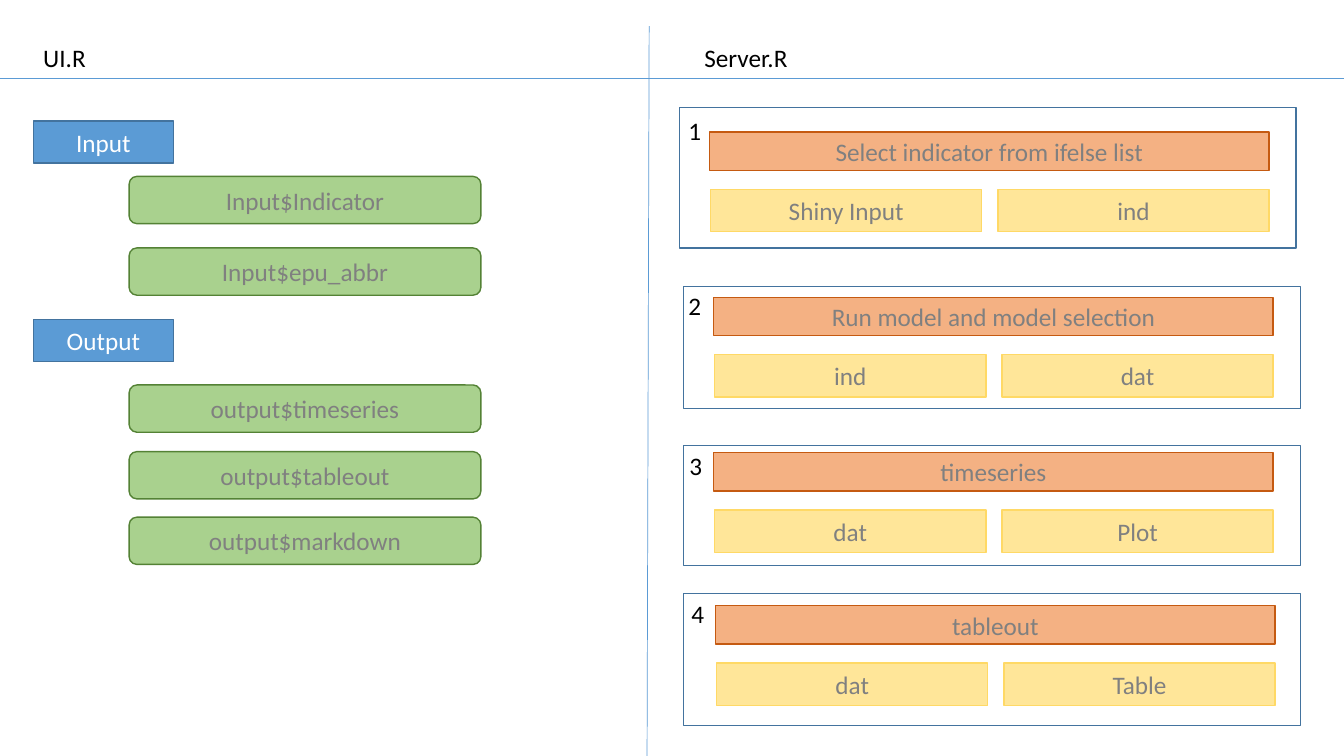
import pptx
import pptx.dml.color
import pptx.enum.shapes
import pptx.enum.text
import pptx.oxml.ns
import pptx.util
from lxml import etree

Pt = pptx.util.Pt
SHAPES = pptx.enum.shapes.MSO_SHAPE
BLUE = ("5B9BD5", "43739E", "FFFFFF")
GREEN = ("A9D18E", "548235", "808080")
ORANGE = ("F4B183", "C55A11", "808080")
YELLOW = ("FFE699", "FFD966", "808080")

SECTIONS = [("Input", 86.4), ("Output", 228.2)]
VARIABLES = [
    ("Input$Indicator", 126),
    ("Input$epu_abbr", 177.1),
    ("output$timeseries", 275),
    ("output$tableout", 322.6),
    ("output$markdown", 369.4),
]
STEPS = [
    ("Select indicator from ifelse list", "Shiny Input", "ind",
     (485.3, 77, 440.6, 100.1), (506.9, 94.3), (484.6, 78.5)),
    ("Run model and model selection", "ind", "dat",
     (488.2, 204.5, 440.6, 87.1), (509.8, 212.4), (484.6, 203.8)),
    ("timeseries", "dat", "Plot",
     (488.2, 318.2, 440.6, 85.7), (509.8, 323.3), (485.3, 318.2)),
    ("tableout", "dat", "Table",
     (488.2, 424.1, 440.6, 94.3), (511.2, 432.7), (486.7, 424.1)),
]


def rgb(value):
    """Turn a hex string into a colour."""
    return pptx.dml.color.RGBColor.from_string(value)


def add_span(para, text, color):
    """Add one formatted run to a paragraph."""
    span = para.add_run()
    span.text = text
    span.font.name = "Calibri"
    span.font.size = Pt(18)
    span.font.color.rgb = rgb(color)


def add_label(page, text, left, top, width):
    """Add a plain black label that does not wrap."""
    box = page.shapes.add_textbox(Pt(left), Pt(top), Pt(width), Pt(29))
    box.text_frame.word_wrap = False
    box.text_frame.auto_size = pptx.enum.text.MSO_AUTO_SIZE.SHAPE_TO_FIT_TEXT
    add_span(box.text_frame.paragraphs[0], text, "000000")


def add_outline(page, kind, bounds, color):
    """Add an unfilled shape with a thin outline."""
    box = page.shapes.add_shape(kind, *map(Pt, bounds))
    box.shadow.inherit = False
    box.fill.background()
    box.line.color.rgb = rgb(color)
    box.line.width = Pt(1)
    return box


def add_box(page, text, bounds, style, kind=SHAPES.RECTANGLE):
    """Add a filled shape with centred text."""
    fill, line, color = style
    box = add_outline(page, kind, bounds, line)
    box.fill.solid()
    box.fill.fore_color.rgb = rgb(fill)
    box.text_frame.word_wrap = True
    box.text_frame.vertical_anchor = pptx.enum.text.MSO_ANCHOR.MIDDLE
    para = box.text_frame.paragraphs[0]
    para.alignment = pptx.enum.text.PP_ALIGN.CENTER
    add_span(para, text, color)


def add_divider(page, *ends):
    """Add a thin blue line between two points."""
    line = page.shapes.add_connector(
        pptx.enum.shapes.MSO_CONNECTOR.STRAIGHT, *map(Pt, ends))
    line.line.color.rgb = rgb("5B9BD5")
    line.line.width = Pt(0.5)
    etree.SubElement(line._element.spPr, pptx.oxml.ns.qn("a:effectLst"))


def add_step(page, number, step):
    """Add a numbered frame with its task bar and two data boxes."""
    task, source, result, frame, (left, top), (label_left, label_top) = step
    add_box(page, task, (left, top, 399.6, 27.4), ORANGE)
    for column, text in enumerate((source, result)):
        bounds = (left + 0.7 + 205.2 * column, top + 41, 193.7, 30.2)
        add_box(page, text, bounds, YELLOW)
    add_outline(page, SHAPES.RECTANGLE, frame, "43739E")
    add_label(page, str(number), label_left, label_top, 23.8)


def main():
    """Build the slide and save it."""
    deck = pptx.Presentation()
    deck.slide_width, deck.slide_height = Pt(960), Pt(540)
    page = deck.slides.add_slide(deck.slide_layouts[6])
    add_divider(page, 463.7, 18.7, 462.2, 540)
    add_label(page, "UI.R", 23.8, 26.6, 45.4)
    add_label(page, "Server.R", 496.1, 26.6, 74.2)
    for text, top in SECTIONS:
        add_box(page, text, (23.8, top, 100.1, 30.2), BLUE)
    for text, top in VARIABLES:
        add_box(page, text, (92.2, top, 251.3, 33.8), GREEN,
                SHAPES.ROUNDED_RECTANGLE)
    for number, step in enumerate(STEPS, start=1):
        add_step(page, number, step)
    add_divider(page, 0, 56.2, 960, 56.2)
    deck.save("out.pptx")


main()
